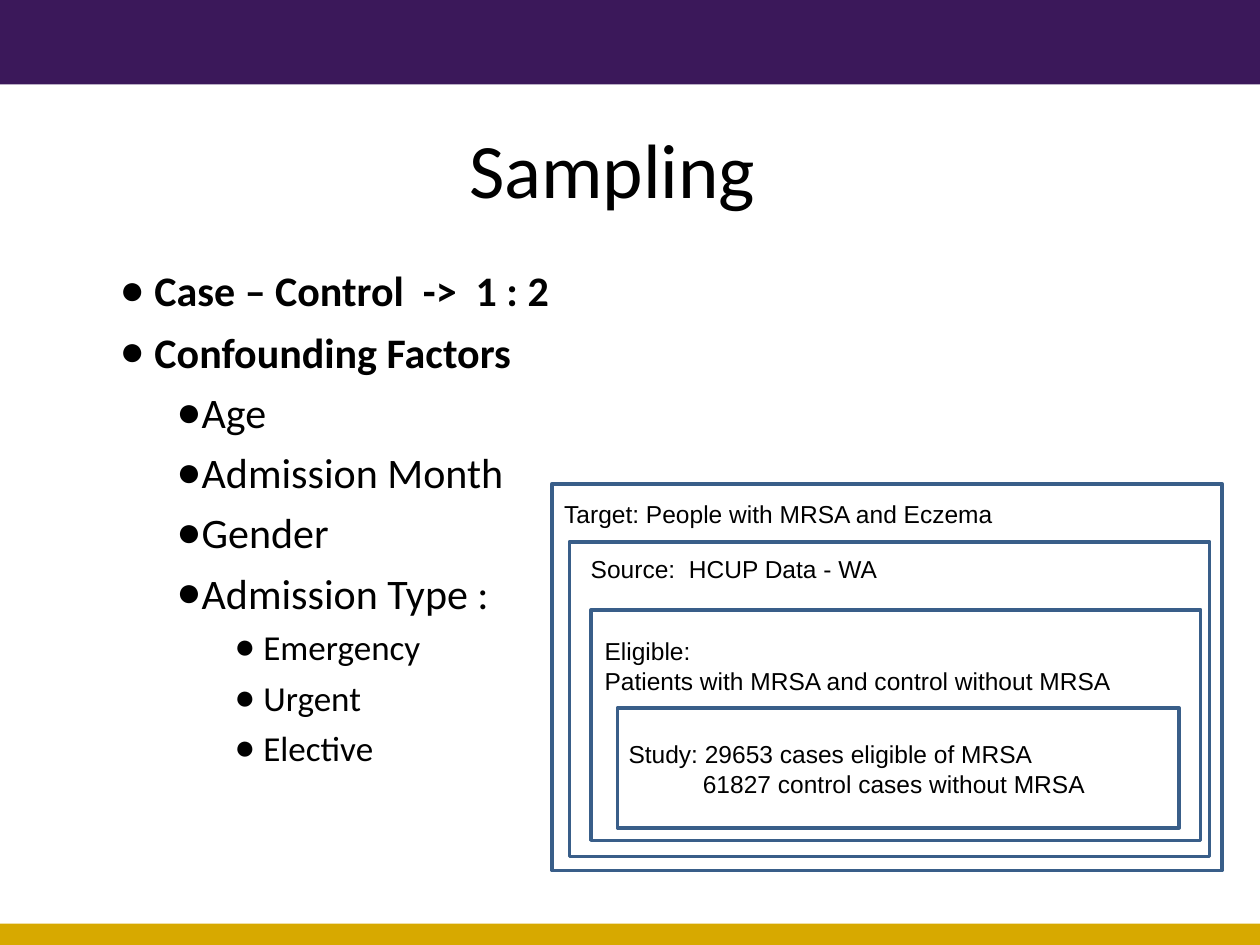
from lxml.etree import SubElement
from pptx import Presentation
from pptx.dml.color import RGBColor
from pptx.enum.shapes import MSO_SHAPE as Shape
from pptx.enum.text import MSO_ANCHOR as Anchor, MSO_AUTO_SIZE as AutoSize, PP_ALIGN as Align
from pptx.oxml.ns import qn
from pptx.util import Inches, Pt

COLORS = {"purple": "3B185A", "gold": "D7A900", "outline": "395E89", "text": "000000"}
LEVELS = [
    {"margin": 0.38, "indent": -0.03, "size": 24, "bold": True, "before": 6.4},
    {"margin": 0.81, "indent": -0.01, "size": 24, "bold": False, "before": 5.6},
    {"margin": 1.25, "indent": 0.01, "size": 20, "bold": False, "before": 4.8},
]
FACTORS = [
    (0, " Case – Control  ->  1 : 2"),
    (0, " Confounding Factors"),
    (1, "Age"),
    (1, "Admission Month"),
    (1, "Gender"),
    (1, "Admission Type :"),
    (2, " Emergency"),
    (2, " Urgent"),
    (2, " Elective"),
]
POPULATIONS = [
    ((4.38, 3.84, 5.32, 3.07), (4.38, 3.91, 5.24, 0.34),
     [("Target: People with MRSA and Eczema", 0)]),
    ((4.52, 4.3, 5.08, 2.5), (4.59, 4.35, 2.87, 0.34),
     [("Source:  HCUP Data - WA", 0)]),
    ((4.69, 4.84, 4.84, 1.83), (4.7, 5, 5.2, 0.57),
     [("Eligible:", 0), ("Patients with MRSA and control without MRSA", 0)]),
    ((4.9, 5.62, 4.46, 0.95), (4.89, 5.82, 4.2, 0.57),
     [("Study: 29653 cases eligible of MRSA", 0),
      ("61827 control cases without MRSA", 0.59)]),
]


def color(name):
    return RGBColor.from_string(COLORS[name])


def place(item, box):
    item.left, item.top, item.width, item.height = map(Inches, box)


def set_frame(frame, left=0.1, top=0.1, right=0.1, bottom=0.1, anchor=Anchor.TOP):
    frame.word_wrap = True
    frame.auto_size = AutoSize.NONE
    frame.vertical_anchor = anchor
    frame.margin_left, frame.margin_top = Inches(left), Inches(top)
    frame.margin_right, frame.margin_bottom = Inches(right), Inches(bottom)


def write(frame, index, text, size=14, font="Arial", bold=False,
          align=Align.LEFT, before=0, margin=0, indent=0):
    para = frame.add_paragraph() if index else frame.paragraphs[0]
    para.alignment = align
    para.space_before = Pt(before)
    properties = para._p.get_or_add_pPr()
    properties.set("marL", str(Inches(margin)))
    properties.set("indent", str(Inches(indent)))
    span = para.add_run()
    span.text = text
    span.font.name, span.font.size, span.font.bold = font, Pt(size), bold
    span.font.color.rgb = color("text")
    return para


def add_bullet(para):
    properties = para._p.get_or_add_pPr()
    bullet_color = SubElement(properties, qn("a:buClr"))
    SubElement(bullet_color, qn("a:srgbClr"), val=COLORS["text"])
    SubElement(properties, qn("a:buFont"), typeface="Arial")
    SubElement(properties, qn("a:buChar"), char="●")


def add_rectangle(page, box, fill=None, line=None):
    rectangle = page.shapes.add_shape(Shape.RECTANGLE, *map(Inches, box))
    rectangle.shadow.inherit = False
    if fill:
        rectangle.fill.solid()
        rectangle.fill.fore_color.rgb = color(fill)
    else:
        rectangle.fill.background()
    if line:
        rectangle.line.color.rgb = color(line)
        rectangle.line.width = Pt(2)
    else:
        rectangle.line.fill.background()


def add_bands(page):
    add_rectangle(page, (0, 0, 10, 0.67), fill="purple")
    add_rectangle(page, (0, 7.33, 10, 0.17), fill="gold")


def add_title(page, box):
    title = page.shapes.title
    place(title, box)
    set_frame(title.text_frame, right=0.38, anchor=Anchor.MIDDLE)
    write(title.text_frame, 0, "Sampling", size=44, font="Calibri", align=Align.CENTER)


def add_factors(page, box):
    body = page.placeholders[1]
    place(body, box)
    set_frame(body.text_frame)
    for index, (level, text) in enumerate(FACTORS):
        style = dict(LEVELS[level])
        if index == 0:
            style["before"] = 0
        para = write(body.text_frame, index, text, font="Calibri", **style)
        para.level = level
        add_bullet(para)


def add_population(page, box, label_box, lines):
    add_rectangle(page, box, line="outline")
    label = page.shapes.add_textbox(*map(Inches, label_box))
    set_frame(label.text_frame, top=0.05, bottom=0.05)
    for index, (text, margin) in enumerate(lines):
        write(label.text_frame, index, text, margin=margin)


def main():
    deck = Presentation()
    deck.slide_width, deck.slide_height = Inches(10), Inches(7.5)
    page = deck.slides.add_slide(deck.slide_layouts[1])
    add_bands(page)
    add_title(page, (0.5, 0.83, 9, 1))
    add_factors(page, (0.5, 2, 9, 3.53))
    for population in POPULATIONS:
        add_population(page, *population)
    deck.save("out.pptx")


if __name__ == "__main__":
    main()
